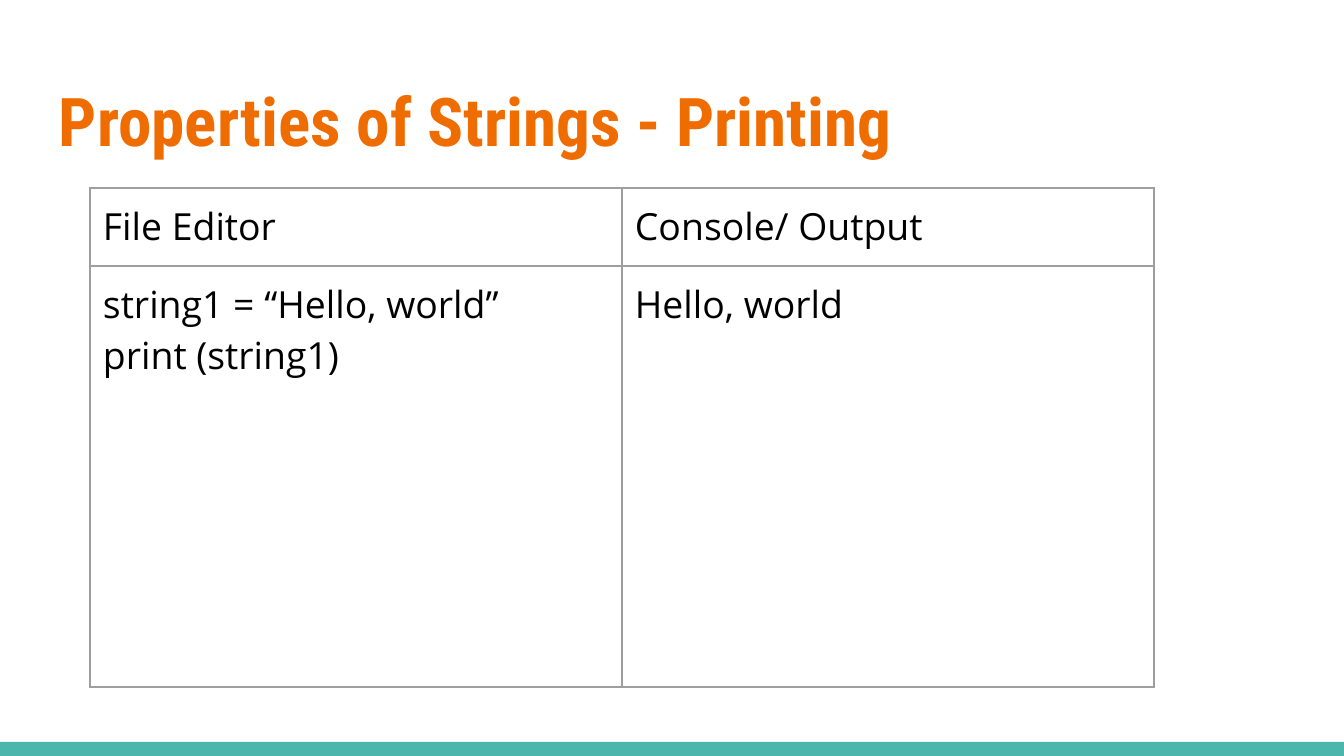
from dataclasses import dataclass

import pptx
import pptx.dml.color
import pptx.enum.shapes
import pptx.enum.text
import pptx.util
from lxml import etree

EMU_PER_PX = 914400 / 134.4
SLIDE_WIDTH, SLIDE_HEIGHT = 1344, 756
INSET = 13
COLORS = {
    "background": "FFFFFF",
    "bar": "4DB6AC",
    "title": "EF6C00",
    "text": "000000",
    "border": "9E9E9E",
}
DRAWING_NAMESPACE = "http://schemas.openxmlformats.org/drawingml/2006/main"


@dataclass
class Box:
    left: int
    top: int
    width: int
    height: int

    def emu(self) -> tuple:
        return px(self.left), px(self.top), px(self.width), px(self.height)


@dataclass
class Column:
    heading: str
    lines: list[str]


TITLE_BOX = Box(46, 66, 1252, 103)
BAR_BOX = Box(0, 742, SLIDE_WIDTH, 14)
TABLE_BOX = Box(90, 188, 1064, 499)
HEADER_HEIGHT = 78
COLUMNS = [
    Column("File Editor", ["string1 = “Hello, world”", "print (string1)"]),
    Column("Console/ Output", ["Hello, world"]),
]


def px(length: int) -> pptx.util.Emu:
    return pptx.util.Emu(round(length * EMU_PER_PX))


def rgb(name: str) -> pptx.dml.color.RGBColor:
    return pptx.dml.color.RGBColor.from_string(COLORS[name])


def write_text(frame, lines: list[str], *, font: str, size: int, color: str, bold: bool = False) -> None:
    frame.word_wrap = True
    for index, line in enumerate(lines):
        paragraph = frame.paragraphs[0] if index == 0 else frame.add_paragraph()
        paragraph.alignment = pptx.enum.text.PP_ALIGN.LEFT
        run = paragraph.add_run()
        run.text = line
        run.font.name = font
        run.font.size = pptx.util.Pt(size)
        run.font.bold = bold
        run.font.color.rgb = rgb(color)


def set_margins(target) -> None:
    target.margin_left = target.margin_right = px(INSET)
    target.margin_top = target.margin_bottom = px(INSET)
    target.vertical_anchor = pptx.enum.text.MSO_ANCHOR.TOP


def add_borders(cell) -> None:
    properties = cell._tc.get_or_add_tcPr()
    for side in ("lnL", "lnR", "lnT", "lnB"):
        line = etree.SubElement(properties, f"{{{DRAWING_NAMESPACE}}}{side}", w=str(pptx.util.Pt(0.75)))
        fill = etree.SubElement(line, f"{{{DRAWING_NAMESPACE}}}solidFill")
        etree.SubElement(fill, f"{{{DRAWING_NAMESPACE}}}srgbClr", val=COLORS["border"])


def add_bar(slide, box: Box) -> None:
    shape = slide.shapes.add_shape(pptx.enum.shapes.MSO_SHAPE.RECTANGLE, *box.emu())
    shape.shadow.inherit = False
    shape.fill.solid()
    shape.fill.fore_color.rgb = rgb("bar")
    shape.line.fill.background()


def add_title(slide, box: Box, text: str) -> None:
    frame = slide.shapes.add_textbox(*box.emu()).text_frame
    set_margins(frame)
    write_text(frame, [text], font="Roboto Condensed", size=36, color="title", bold=True)


def add_code_table(slide, box: Box, columns: list[Column]) -> None:
    table = slide.shapes.add_table(2, len(columns), *box.emu()).table
    table.first_row = table.horz_banding = False
    table.rows[0].height = px(HEADER_HEIGHT)
    table.rows[1].height = px(box.height - HEADER_HEIGHT)
    for column_index, column in enumerate(columns):
        table.columns[column_index].width = px(box.width // len(columns))
        for row_index, lines in enumerate([[column.heading], column.lines]):
            cell = table.cell(row_index, column_index)
            set_margins(cell)
            add_borders(cell)
            cell.fill.background()
            write_text(cell.text_frame, lines, font="Open Sans", size=20, color="text")


def main() -> None:
    presentation = pptx.Presentation()
    presentation.slide_width = px(SLIDE_WIDTH)
    presentation.slide_height = px(SLIDE_HEIGHT)
    slide = presentation.slides.add_slide(presentation.slide_layouts[6])
    slide.background.fill.solid()
    slide.background.fill.fore_color.rgb = rgb("background")

    # Bottom bar
    add_bar(slide, BAR_BOX)
    # Heading
    add_title(slide, TITLE_BOX, "Properties of Strings - Printing")
    # Code beside its output
    add_code_table(slide, TABLE_BOX, COLUMNS)

    presentation.save("out.pptx")


if __name__ == "__main__":
    main()
